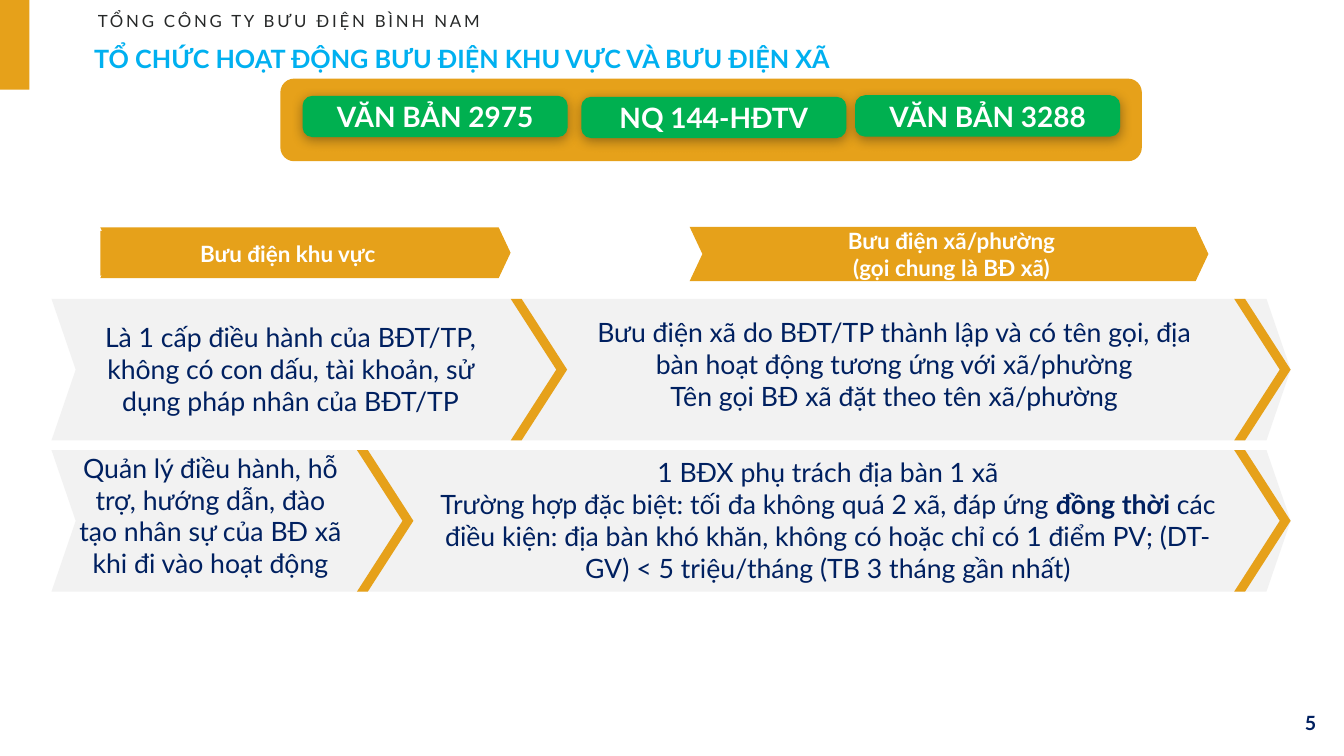
from dataclasses import dataclass

from lxml import etree
from pptx import Presentation
from pptx.dml.color import RGBColor
from pptx.enum.shapes import MSO_SHAPE
from pptx.enum.text import MSO_ANCHOR, MSO_AUTO_SIZE, PP_ALIGN
from pptx.oxml.ns import qn
from pptx.util import Inches, Pt

RECTANGLE = MSO_SHAPE.RECTANGLE
ROUNDED = MSO_SHAPE.ROUNDED_RECTANGLE
CHEVRON = MSO_SHAPE.CHEVRON
TOP, MIDDLE = MSO_ANCHOR.TOP, MSO_ANCHOR.MIDDLE
LEFT, CENTER, RIGHT = PP_ALIGN.LEFT, PP_ALIGN.CENTER, PP_ALIGN.RIGHT
GROW = MSO_AUTO_SIZE.SHAPE_TO_FIT_TEXT

SLIDE_WIDTH, SLIDE_HEIGHT = Inches(26.66), Inches(15)
COLUMN, ROW = SLIDE_WIDTH / 100, SLIDE_HEIGHT / 100


@dataclass(frozen=True)
class Theme:
    font: str = "Lato"
    gold: str = "E6A11A"
    band: str = "F2F2F2"
    green: str = "00B050"
    white: str = "FFFFFF"
    navy: str = "002060"
    sky: str = "00B0F0"
    ink: str = "262828"
    shadow: str = "0D0D0D"
    company_size: int = 24
    number_size: int = 28
    heading_size: int = 32
    title_size: int = 36
    body_size: int = 38
    tag_size: int = 40


THEME = Theme()
NO_MARGINS = {f"margin_{side}": 0 for side in ("left", "top", "right", "bottom")}
BAND_LEFT, BAND_TOP, BAND_WIDTH, BAND_HEIGHT = 3.83, 39.53, 92.2, 18.73
BAND_PITCH, DIVIDER_WIDTH = 20, 4.2


def apply_format(target, values):
    for name, value in values.items():
        setattr(target, name, value)


def place(box):
    left, top, width, height = box
    return [round(n) for n in (left * COLUMN, top * ROW, width * COLUMN, height * ROW)]


def add_block(slide, kind, box, color, adjustment=None):
    shape = slide.shapes.add_shape(kind, *place(box))
    shape.shadow.inherit = False
    shape.fill.solid()
    shape.fill.fore_color.rgb = RGBColor.from_string(color)
    shape.line.fill.background()
    if adjustment is not None:
        shape.adjustments[0] = adjustment
    return shape


def write_text(shape, paragraphs, size, color, bold=False, align=CENTER, spacing=0, **frame_format):
    frame = shape.text_frame
    apply_format(frame, {"word_wrap": True, "vertical_anchor": MIDDLE, **frame_format})
    for index, runs in enumerate(paragraphs):
        paragraph = frame.add_paragraph() if index else frame.paragraphs[0]
        paragraph.alignment = align
        for text, strong in runs:
            run = paragraph.add_run()
            run.text = text
            apply_format(run.font, {"name": THEME.font, "size": Pt(size), "bold": bold or strong})
            run.font.color.rgb = RGBColor.from_string(color)
            if spacing:
                run.font._element.set("spc", str(spacing * 100))


def plain(*lines):
    return [[(line, False)] for line in lines]


def add_text(slide, box, paragraphs, size, color, **options):
    write_text(slide.shapes.add_textbox(*place(box)), paragraphs, size, color, **options)


def add_soft_shadow(shape):
    effects = shape._element.spPr.find(qn("a:effectLst"))
    shadow = etree.SubElement(effects, qn("a:outerShdw"), blurRad=str(Pt(17)),
                              dist=str(Pt(4)), dir="5400000", algn="t", rotWithShape="0")
    color = etree.SubElement(shadow, qn("a:srgbClr"), val=THEME.shadow)
    etree.SubElement(color, qn("a:alpha"), val="37000")


def add_frame(slide):
    add_block(slide, RECTANGLE, (0, 0, 2.18, 11.87), THEME.gold)
    add_text(slide, (75.62, 92.93, 23.33, 5.33), plain("5"), THEME.number_size, THEME.navy,
             bold=True, align=RIGHT, margin_left=Inches(0.27), margin_right=Inches(0.27))
    line_format = {**NO_MARGINS, "word_wrap": False, "auto_size": GROW, "align": LEFT}
    add_text(slide, (7.28, 1.47, 28.66, 2.67), plain("TỔNG CÔNG TY BƯU ĐIỆN BÌNH NAM"),
             THEME.company_size, THEME.ink, spacing=4, **line_format)
    add_text(slide, (7.01, 5.73, 55.96, 4.07),
             plain("TỔ CHỨC HOẠT ĐỘNG BƯU ĐIỆN KHU VỰC VÀ BƯU ĐIỆN XÃ"),
             THEME.title_size, THEME.sky, bold=True, **line_format)


def add_bands(slide):
    last_divider = BAND_LEFT + BAND_WIDTH - DIVIDER_WIDTH
    for index, divider in enumerate((38, 26.56)):
        top = BAND_TOP + index * BAND_PITCH
        add_block(slide, CHEVRON, (BAND_LEFT, top, BAND_WIDTH, BAND_HEIGHT), THEME.band, 0.171)
        for left in (divider, last_divider):
            add_block(slide, CHEVRON, (left, top, DIVIDER_WIDTH, BAND_HEIGHT), THEME.gold, 0.807)


def add_heading(slide, arrow_box, label_box, lines):
    add_block(slide, CHEVRON, arrow_box, THEME.gold, 0.235)
    label = add_block(slide, RECTANGLE, label_box, THEME.gold)
    write_text(label, plain(*lines), THEME.heading_size, THEME.white, bold=True, **NO_MARGINS)


def add_tags(slide):
    add_block(slide, ROUNDED, (20.86, 10.4, 64.1, 10.93), THEME.gold)
    for left, top, name in (
        (22.51, 12.67, "VĂN BẢN 2975"),
        (43.25, 12.8, "NQ 144-HĐTV"),
        (63.62, 12.6, "VĂN BẢN 3288"),
    ):
        tag = add_block(slide, ROUNDED, (left, top, 19.73, 5.47), THEME.green, 0.239)
        add_soft_shadow(tag)
        write_text(tag, plain(name), THEME.tag_size, THEME.white, bold=True)


def add_body(slide):
    area_text = plain("Là 1 cấp điều hành của BĐT/TP, không có con dấu, tài khoản, "
                      "sử dụng pháp nhân của BĐT/TP")
    commune_text = plain("Bưu điện xã do BĐT/TP thành lập và có tên gọi, địa bàn hoạt động "
                         "tương ứng với xã/phường",
                         "Tên gọi BĐ xã đặt theo tên xã/phường")
    duty_text = plain("Quản lý điều hành, hỗ trợ, hướng dẫn, đào tạo nhân sự của BĐ xã "
                      "khi đi vào hoạt động")
    coverage_text = plain("1 BĐX phụ trách địa bàn 1 xã") + [[
        ("Trường hợp đặc biệt: tối đa không quá 2 xã, đáp ứng ", False),
        ("đồng thời", True),
        (" các điều kiện: địa bàn khó khăn, không có hoặc chỉ có 1 điểm PV; "
         "(DT-GV) < 5 triệu/tháng (TB 3 tháng gần nhất)", False),
    ]]
    for box, paragraphs in (
        ((6.75, 42.13, 29.74, 13.47), area_text),
        ((43.21, 41.47, 46.66, 13.47), commune_text),
        ((31.43, 60, 60.35, 17.73), coverage_text),
        ((5.4, 59.4, 20.52, 17.73), duty_text),
    ):
        add_text(slide, box, paragraphs, THEME.body_size, THEME.navy,
                 vertical_anchor=TOP, auto_size=GROW)


def main():
    presentation = Presentation()
    apply_format(presentation, {"slide_width": SLIDE_WIDTH, "slide_height": SLIDE_HEIGHT})
    slide = presentation.slides.add_slide(presentation.slide_layouts[6])
    add_frame(slide)
    add_bands(slide)
    add_heading(slide, (7.46, 30.07, 30.53, 6.73), (7.46, 30.53, 27.91, 5.93),
                ["Bưu điện khu vực"])
    add_heading(slide, (51.31, 30, 38.6, 7.2), (53.34, 30.13, 34.92, 7),
                ["Bưu điện xã/phường", "(gọi chung là BĐ xã)"])
    add_body(slide)
    add_tags(slide)
    presentation.save("out.pptx")


if __name__ == "__main__":
    main()
